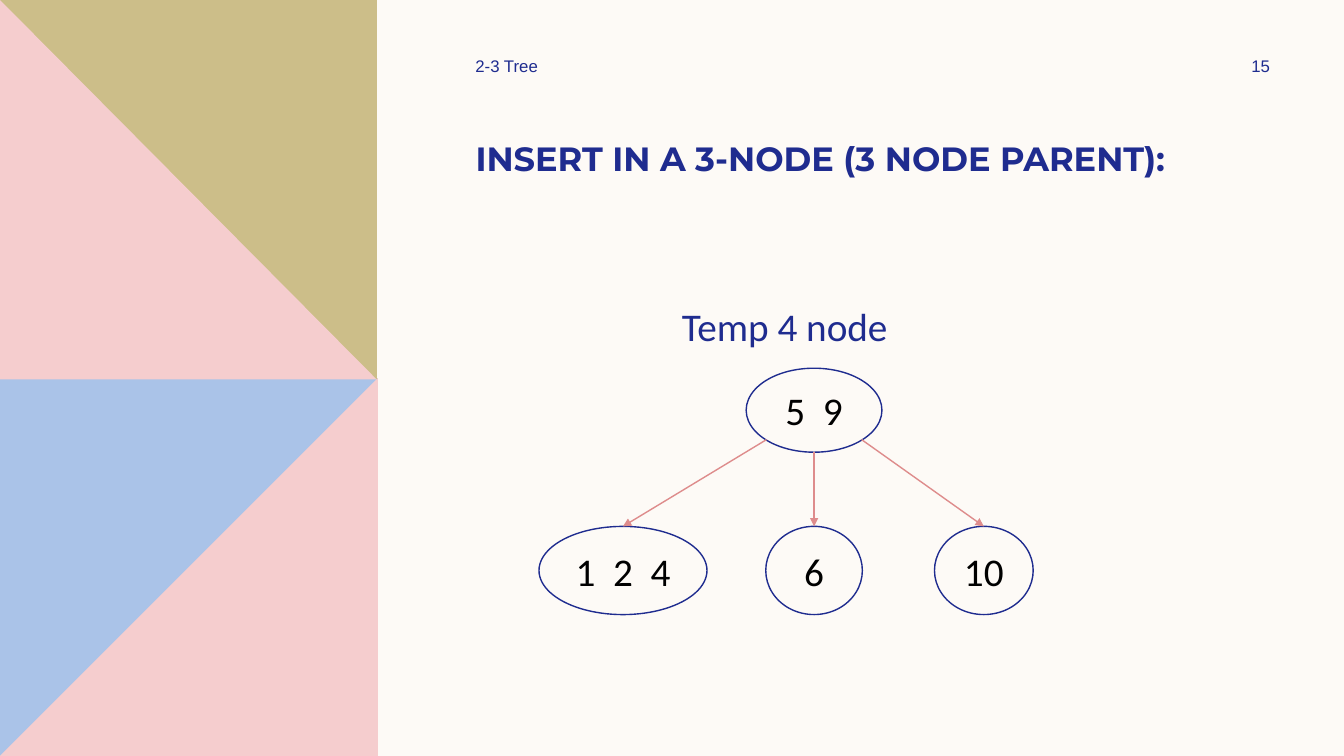
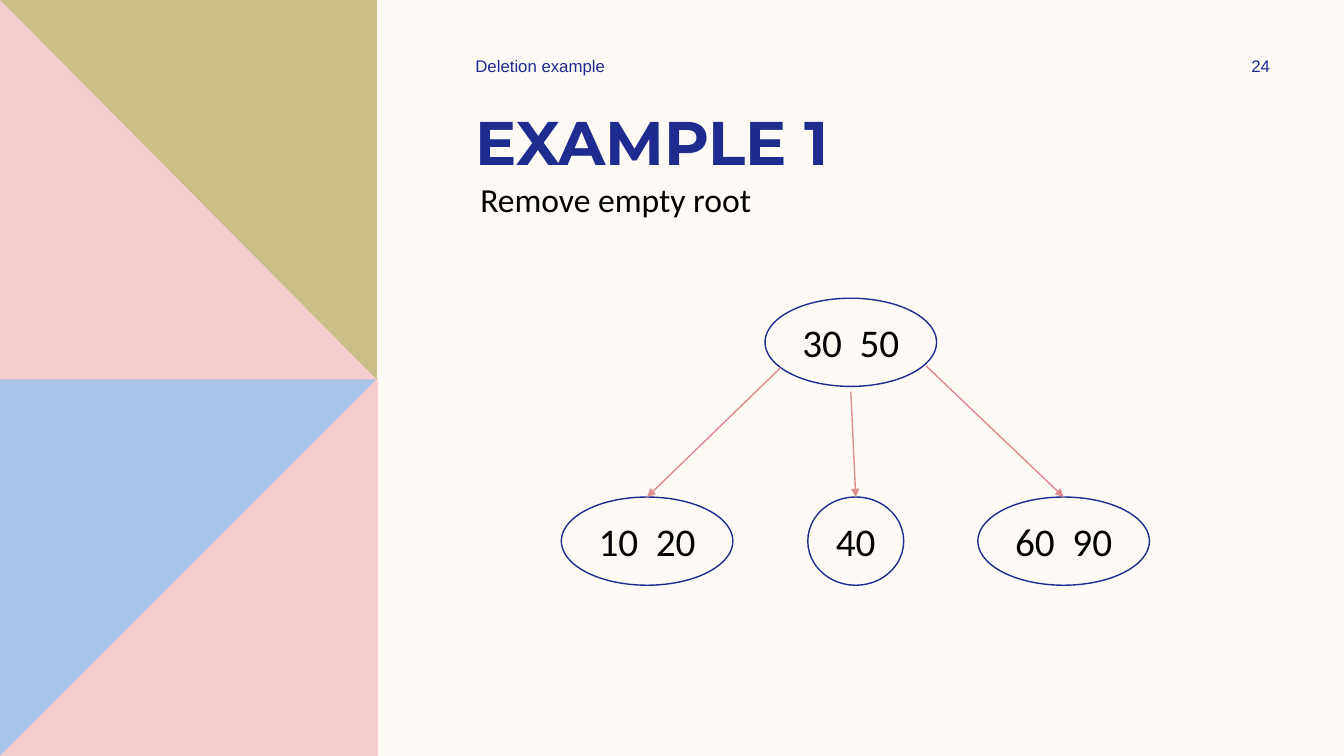
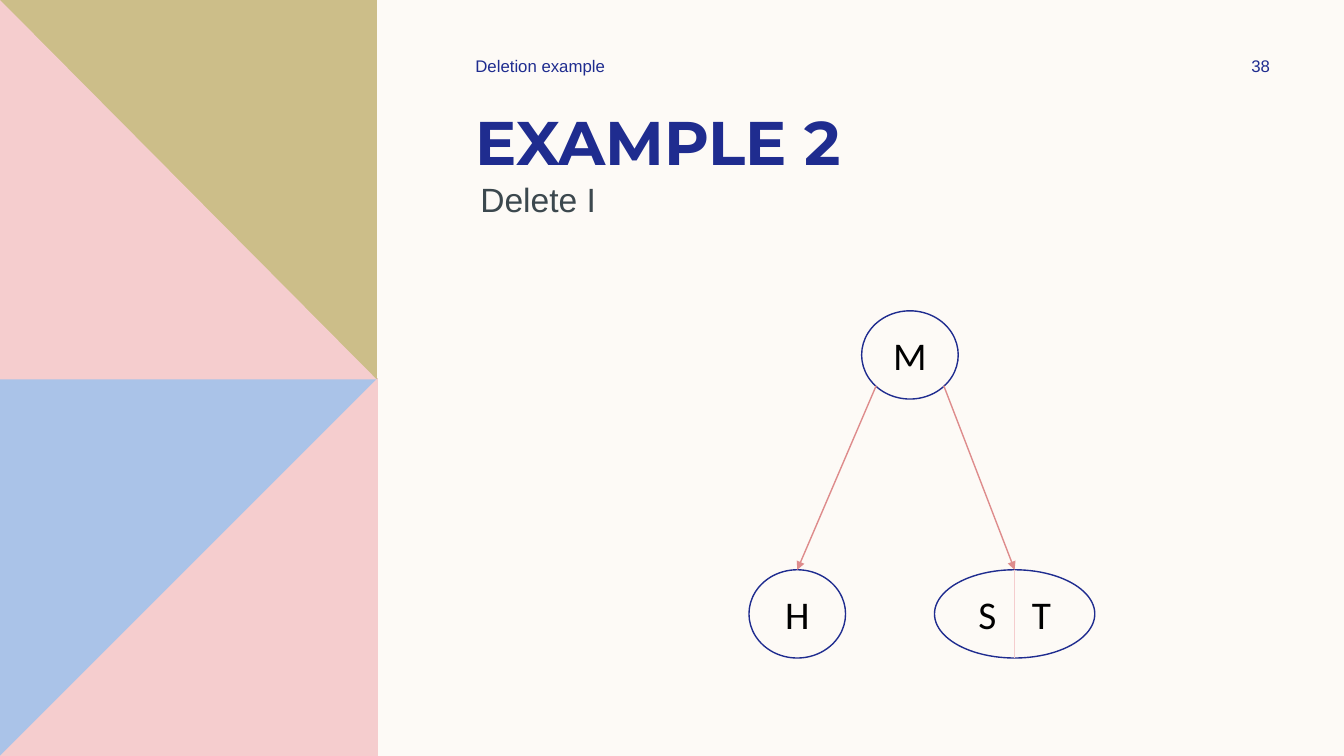
import pptx
import pptx.util
import pptx.dml.color
import pptx.enum.shapes
import pptx.enum.text
import pptx.oxml
import pptx.oxml.ns
from collections import namedtuple

Pt = pptx.util.Pt
ALIGN = pptx.enum.text.PP_ALIGN
ANCHOR = pptx.enum.text.MSO_ANCHOR

NAVY = "1F2C8F"
CREAM = "FDFAF6"
PINK = "F5CDCE"
BLUE = "AAC3E8"
OLIVE = "CCBE89"
CORAL = "DE8C8C"
BLACK = "000000"
SLATE = "3C484E"

WIDTH, HEIGHT = 960, 540
NODE_HEIGHT = 63
NODE_SIZE = 28
SPACE_WIDTH = 6.33

Box = namedtuple("Box", "left top width height")
Node = namedtuple("Node", "keys offset width height spaces", defaults=(NODE_HEIGHT, 2))


def color(value):
    return pptx.dml.color.RGBColor.from_string(value)


def points(*lengths):
    return [Pt(length) for length in lengths]


def set_font(paragraph, name, size, value, bold=False):
    paragraph.font.name = name
    paragraph.font.size = Pt(size)
    paragraph.font.bold = bold
    paragraph.font.color.rgb = color(value)


def add_text(slide, box, text, name, size, value, align=ALIGN.LEFT, anchor=ANCHOR.TOP):
    shape = slide.shapes.add_textbox(*points(*box))
    frame = shape.text_frame
    frame.word_wrap = True
    frame.vertical_anchor = anchor
    paragraph = frame.paragraphs[0]
    paragraph.text = text
    paragraph.alignment = align
    set_font(paragraph, name, size, value)
    return shape


def add_line(slide, start, end, value, width, arrow=False):
    connector = slide.shapes.add_connector(
        pptx.enum.shapes.MSO_CONNECTOR.STRAIGHT, *points(*start, *end))
    connector.line.color.rgb = color(value)
    connector.line.width = Pt(width)
    properties = connector.element.spPr
    if arrow:
        tail = pptx.oxml.ns.qn("a:tailEnd")
        properties.find(pptx.oxml.ns.qn("a:ln")).makeelement(tail)
        pptx.oxml.parse_xml
        line = properties.find(pptx.oxml.ns.qn("a:ln"))
        line.append(line.makeelement(tail, {"type": "triangle"}))
    properties.append(properties.makeelement(pptx.oxml.ns.qn("a:effectLst"), {}))


def add_polygon(slide, corners, value):
    corners = [points(*corner) for corner in corners]
    builder = slide.shapes.build_freeform(*corners[0])
    builder.add_line_segments(corners[1:], close=True)
    shape = builder.convert_to_shape()
    shape.shadow.inherit = False
    shape.fill.solid()
    shape.fill.fore_color.rgb = color(value)
    shape.line.fill.background()
    return shape


def add_side_panel(layout, slide, box):
    left, top = box.left, box.top
    right, bottom = left + box.width, top + box.height
    middle = top + box.height / 2
    polygons = [
        ([(left, middle), (right, middle), (right, bottom), (left, bottom)], BLUE),
        ([(right, middle), (right, bottom), (left, bottom)], PINK),
        ([(left, top), (right - 1, top), (right - 1, middle + 1), (left, middle + 1)], OLIVE),
        ([(left, top), (right - 1, middle + 1), (left, middle + 1)], PINK),
    ]
    for corners, value in polygons:
        layout.shapes.element.append(add_polygon(slide, corners, value).element)


def add_header(slide, box, topic, number):
    add_text(slide, Box(box.left, box.top, 252, box.height), topic,
             "Arial", 12, NAVY, anchor=ANCHOR.MIDDLE)
    add_text(slide, Box(box.left + box.width - 78, box.top, 78, box.height), str(number),
             "Arial", 12, NAVY, ALIGN.CENTER, ANCHOR.MIDDLE)


def set_title(slide, box, text, size):
    title = slide.shapes.title
    title.left, title.top, title.width, title.height = points(*box)
    frame = title.text_frame
    frame.text = text
    frame.word_wrap = True
    frame.auto_size = pptx.enum.text.MSO_AUTO_SIZE.NONE
    frame.vertical_anchor = ANCHOR.TOP
    frame.paragraphs[0].alignment = ALIGN.LEFT
    set_font(frame.paragraphs[0], "Montserrat", size, NAVY, bold=True)


def add_slide(presentation, topic, number, title, title_top=70.5, title_size=44):
    slide = presentation.slides.add_slide(presentation.slide_layouts[5])
    set_title(slide, Box(332.5, title_top, 533, 60.5), title, title_size)
    add_header(slide, Box(332.5, 36, 607, 21.5), topic, number)
    return slide


def add_node(slide, box, node):
    shape = slide.shapes.add_shape(pptx.enum.shapes.MSO_SHAPE.OVAL, *points(*box))
    shape.shadow.inherit = False
    shape.fill.solid()
    shape.fill.fore_color.rgb = color(CREAM)
    shape.line.color.rgb = color(NAVY)
    shape.line.width = Pt(1)
    frame = shape.text_frame
    frame.word_wrap = False
    frame.vertical_anchor = ANCHOR.MIDDLE
    paragraph = frame.paragraphs[0]
    paragraph.alignment = ALIGN.CENTER
    set_font(paragraph, "Calibri", NODE_SIZE, BLACK)
    for index, key in enumerate(node.keys):
        if index:
            gap = paragraph.add_run()
            gap.text = " "
            extra = (node.spaces - 1) * SPACE_WIDTH
            gap.font._element.set("spc", str(round(extra * 100)))
        paragraph.add_run().text = key


def add_tree(slide, box, root, children, starts):
    root_box = Box(box.left + root.offset, box.top, root.width, root.height)
    add_node(slide, root_box, root)
    for child, (across, down) in zip(children, starts):
        child_box = Box(box.left + child.offset, box.top + box.height - child.height,
                        child.width, child.height)
        add_node(slide, child_box, child)
        start = (root_box.left + across * root_box.width, root_box.top + down * root_box.height)
        add_line(slide, start, (child_box.left + child_box.width / 2, child_box.top),
                 CORAL, 1, arrow=True)


def add_divider(slide, box):
    center = box.left + box.width / 2
    add_line(slide, (center, box.top), (center, box.top + box.height), PINK, 0.5)


LOWER_LEFT, BOTTOM, LOWER_RIGHT = (0.15, 0.85), (0.5, 1), (0.85, 0.85)


def build_insertion(presentation):
    slide = add_slide(presentation, "2-3 Tree", 15, "INSERT IN A 3-NODE (3 NODE PARENT):", 95, 24)
    caption = add_text(slide, Box(329, 174, 533, 312.5), "Temp 4 node", "Calibri", 28, NAVY)
    caption.text_frame.margin_left = Pt(158)
    caption.text_frame.margin_top = Pt(42)
    add_tree(slide, Box(385, 263, 353, 176), Node("59", 148, 97, 60),
             [Node("124", 0, 120), Node("6", 162, 69), Node(["10"], 282.5, 70.5)],
             [LOWER_LEFT, BOTTOM, LOWER_RIGHT])
    return slide


def build_empty_root(presentation):
    slide = add_slide(presentation, "Deletion example", 24, "EXAMPLE 1")
    add_text(slide, Box(336, 124, 584, 36), "Remove empty root", "Calibri", 24, BLACK)
    add_tree(slide, Box(401, 213, 420, 205), Node(["30", "50"], 145.5, 122.5),
             [Node(["10", "20"], 0, 122.5), Node(["40"], 176, 68.5),
              Node(["60", "90"], 297.5, 122.5)],
             [(0.09, 0.79), (0.5, 1.06), (0.94, 0.77)])


def build_delete(presentation):
    slide = add_slide(presentation, "Deletion example", 38, "EXAMPLE 2")
    add_text(slide, Box(336, 124, 597.5, 36), "Delete I", "Arial", 24, SLATE)
    add_tree(slide, Box(535, 222, 247, 248), Node("M", 80.5, 69),
             [Node("H", 0, 69), Node("ST", 132.5, 114.5, spaces=4)],
             [LOWER_LEFT, LOWER_RIGHT])
    add_divider(slide, Box(667.5, 407, 114.5, NODE_HEIGHT))


presentation = pptx.Presentation()
presentation.slide_width, presentation.slide_height = points(WIDTH, HEIGHT)
background = presentation.slide_master.background.fill
background.solid()
background.fore_color.rgb = color(CREAM)
first_slide = build_insertion(presentation)
add_side_panel(presentation.slide_layouts[5], first_slide, Box(0, 0, 270, HEIGHT))
build_empty_root(presentation)
build_delete(presentation)
presentation.save("out.pptx")
